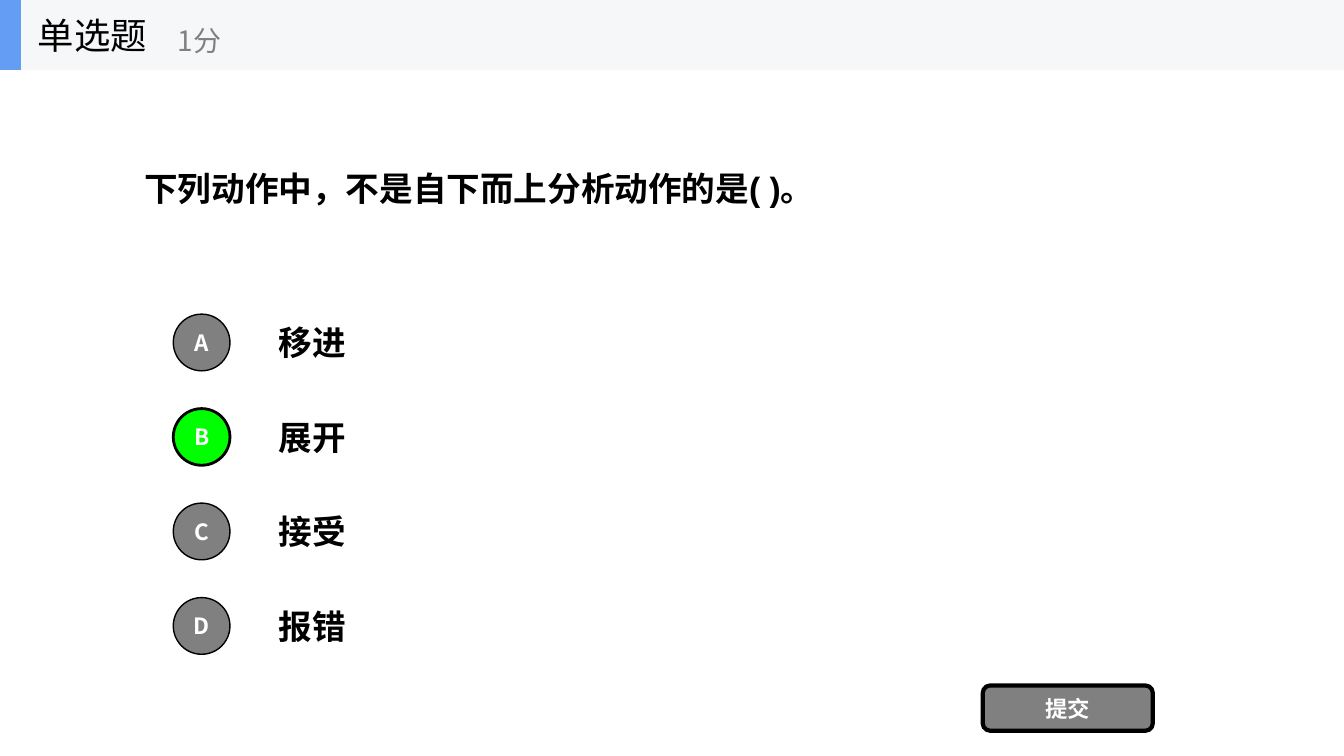
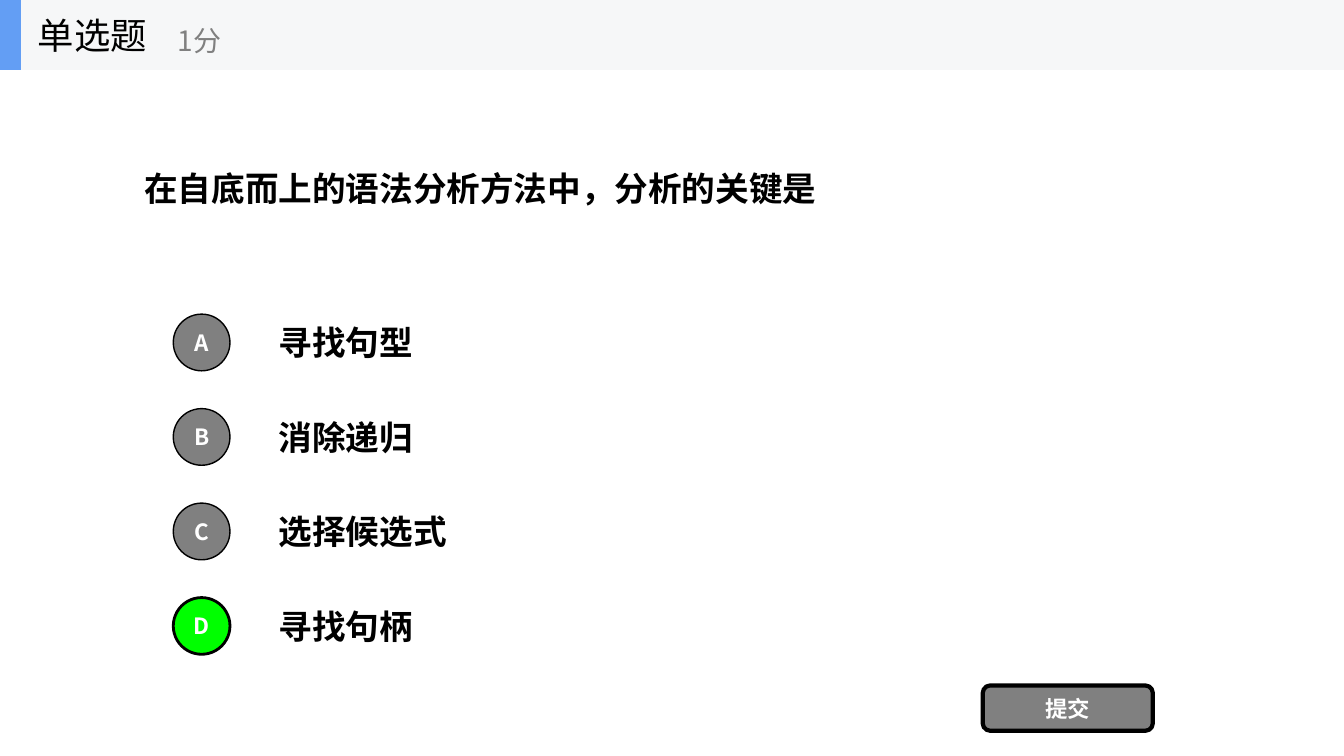
from dataclasses import dataclass
from typing import Optional

from lxml.etree import SubElement
from pptx import Presentation
from pptx.dml.color import RGBColor
from pptx.enum.shapes import MSO_SHAPE
from pptx.enum.text import MSO_ANCHOR, PP_ALIGN
from pptx.oxml.ns import qn
from pptx.shapes.autoshape import Shape
from pptx.slide import Slide
from pptx.util import Pt

BLACK = RGBColor(0x00, 0x00, 0x00)
WHITE = RGBColor(0xFF, 0xFF, 0xFF)
GRAY = RGBColor(0x80, 0x80, 0x80)
GREEN = RGBColor(0x00, 0xFF, 0x00)
BAND = RGBColor(0xF6, 0xF7, 0xF8)
ACCENT = RGBColor(0x63, 0x9E, 0xF4)

CHINESE_FONT = "Noto Sans CJK SC"
SLIDE_WIDTH, SLIDE_HEIGHT = 960, 540
BAND_HEIGHT = 50
FIRST_OPTION_TOP, OPTION_PITCH, OPTION_HEIGHT = 219.4, 67.5, 50.4
CIRCLE_LEFT, CIRCLE_SIZE = 123.75, 40.5


@dataclass(frozen=True)
class Box:
    left: float
    top: float
    width: float
    height: float

    def lengths(self) -> tuple[Pt, Pt, Pt, Pt]:
        return Pt(self.left), Pt(self.top), Pt(self.width), Pt(self.height)


@dataclass(frozen=True)
class TextStyle:
    size: float
    color: RGBColor = BLACK
    bold: bool = False
    font: str = CHINESE_FONT
    align: PP_ALIGN = PP_ALIGN.LEFT


@dataclass(frozen=True)
class Question:
    text: str
    options: tuple[str, ...]
    answer: str
    font: str = "Calibri"


HEADING = TextStyle(26)
SCORE = TextStyle(20, GRAY)
OPTION = TextStyle(24, bold=True, font="Calibri")
BUTTON = TextStyle(16, WHITE, bold=True, align=PP_ALIGN.CENTER)

QUESTIONS = (
    Question("下列动作中，不是自下而上分析动作的是( )。",
             ("移进", "展开", "接受", "报错"), "B", "Arial"),
    Question("在自底而上的语法分析方法中，分析的关键是",
             ("寻找句型", "消除递归", "选择候选式", "寻找句柄"), "D"),
)


def write_text(shape: Shape, text: str, style: TextStyle) -> None:
    frame = shape.text_frame
    frame.word_wrap = True
    frame.vertical_anchor = MSO_ANCHOR.MIDDLE
    paragraph = frame.paragraphs[0]
    paragraph.text = text
    paragraph.alignment = style.align
    font = paragraph.font
    font.size, font.bold, font.name = Pt(style.size), style.bold, style.font
    font.color.rgb = style.color
    # East Asian typeface for the Chinese characters
    properties = paragraph._p.pPr.find(qn("a:defRPr"))
    SubElement(properties, qn("a:ea")).set("typeface", CHINESE_FONT)


def add_text(shapes, box: Box, text: str, style: TextStyle) -> None:
    write_text(shapes.add_textbox(*box.lengths()), text, style)


def add_block(shapes, kind: MSO_SHAPE, box: Box, fill: RGBColor,
              line_width: Optional[float] = None) -> Shape:
    shape = shapes.add_shape(kind, *box.lengths())
    shape.shadow.inherit = False
    shape.fill.solid()
    shape.fill.fore_color.rgb = fill
    if line_width is None:
        shape.line.fill.background()
    else:
        shape.line.color.rgb = BLACK
        shape.line.width = Pt(line_width)
    return shape


def add_header(slide: Slide) -> None:
    shapes = slide.shapes.add_group_shape().shapes
    add_block(shapes, MSO_SHAPE.RECTANGLE, Box(0, 0, SLIDE_WIDTH, BAND_HEIGHT), BAND)
    add_block(shapes, MSO_SHAPE.RECTANGLE, Box(0, 0, 15, BAND_HEIGHT), ACCENT)
    add_text(shapes, Box(20, 0, 150, BAND_HEIGHT), "单选题", HEADING)
    add_text(shapes, Box(120, 9, 180, 40), "1分", SCORE)


def add_option(slide: Slide, index: int, text: str, answer: str) -> None:
    letter = "ABCD"[index]
    top = FIRST_OPTION_TOP + index * OPTION_PITCH
    add_text(slide.shapes, Box(192, top, 672, OPTION_HEIGHT), text, OPTION)
    correct = letter == answer
    circle_top = top + (OPTION_HEIGHT - CIRCLE_SIZE) / 2
    circle = add_block(slide.shapes, MSO_SHAPE.OVAL,
                       Box(CIRCLE_LEFT, circle_top, CIRCLE_SIZE, CIRCLE_SIZE),
                       GREEN if correct else GRAY, 2 if correct else 1)
    frame = circle.text_frame
    frame.margin_left = frame.margin_right = frame.margin_top = frame.margin_bottom = 0
    write_text(circle, letter, BUTTON)


def add_question(slide: Slide, question: Question) -> None:
    # Question and its options
    style = TextStyle(24, bold=True, font=question.font)
    add_text(slide.shapes, Box(96, BAND_HEIGHT, 768, 168.75), question.text, style)
    for index, text in enumerate(question.options):
        add_option(slide, index, text, question.answer)
    # Submit button
    button = add_block(slide.shapes, MSO_SHAPE.ROUNDED_RECTANGLE,
                       Box(702, 489.6, 121.5, 32.4), GRAY, 3)
    write_text(button, "提交", BUTTON)
    add_header(slide)


def main() -> None:
    presentation = Presentation()
    presentation.slide_width = Pt(SLIDE_WIDTH)
    presentation.slide_height = Pt(SLIDE_HEIGHT)
    blank_layout = presentation.slide_layouts[6]
    for question in QUESTIONS:
        add_question(presentation.slides.add_slide(blank_layout), question)
    presentation.save("out.pptx")


if __name__ == "__main__":
    main()
